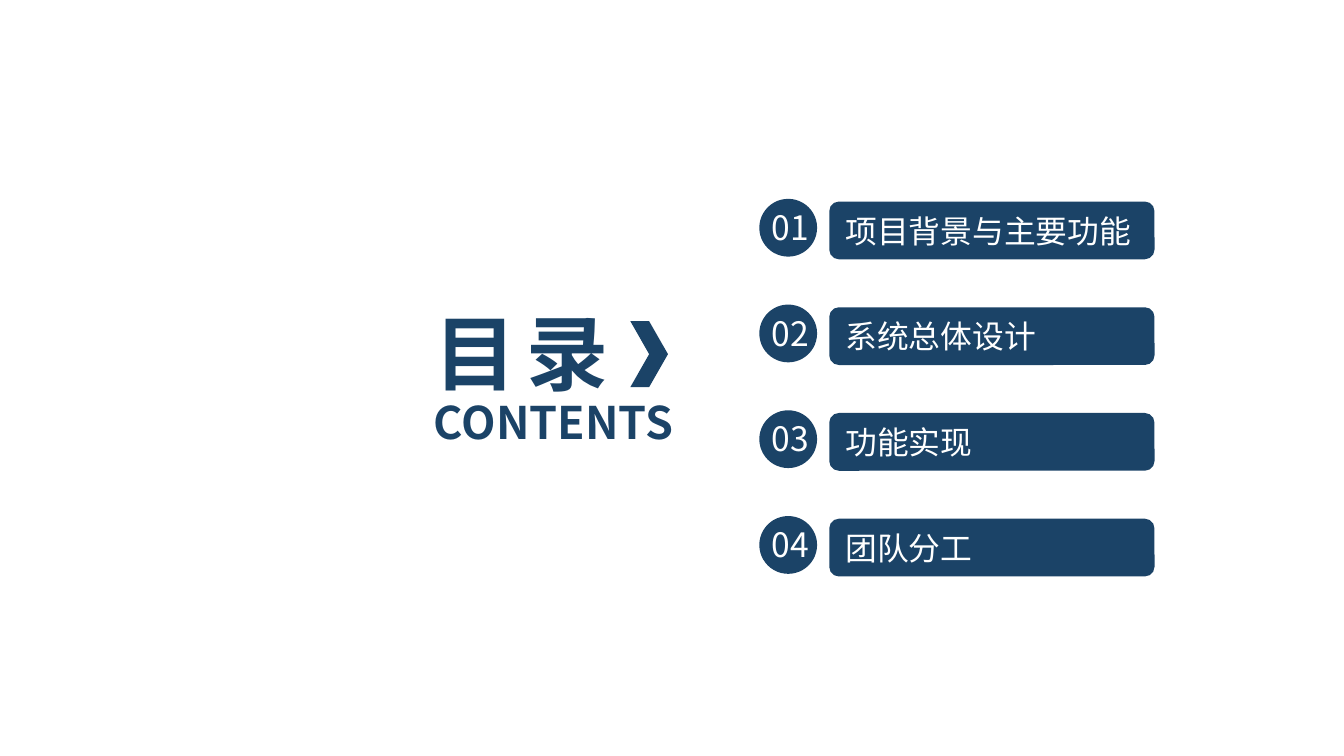
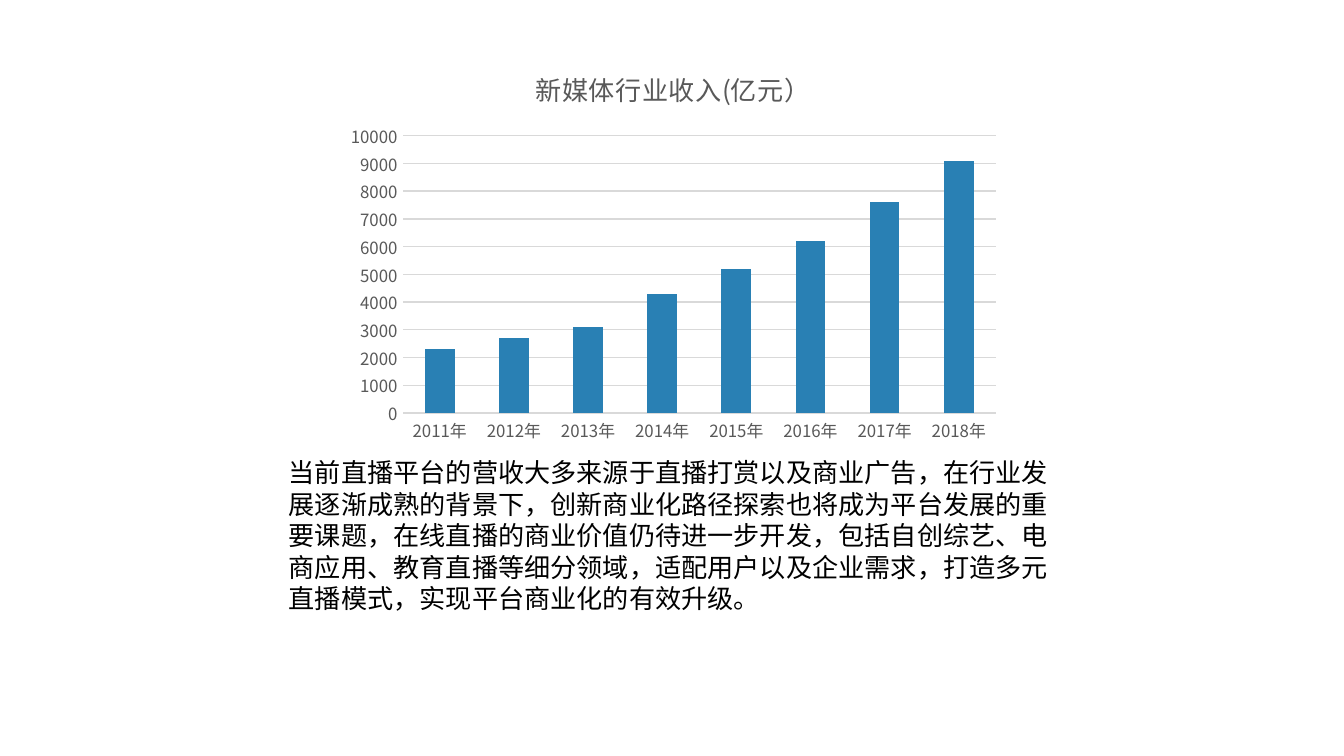
from dataclasses import dataclass

from lxml import etree
from pptx import Presentation
from pptx.chart import data as chart_data
from pptx.dml.color import RGBColor
from pptx.enum import chart as chart_enum, shapes, text
from pptx.oxml import ns
from pptx.util import Inches, Pt

TITLE_ONLY, BLANK = 5, 6


@dataclass(frozen=True)
class Theme:
    font: str = "Noto Sans CJK SC"
    navy: str = "1B4367"
    blue: str = "2980B4"
    white: str = "FFFFFF"
    black: str = "000000"
    gray: str = "595959"
    grid: str = "D9D9D9"
    title_size: int = 44
    subtitle_size: int = 24
    number_size: int = 18
    item_size: int = 17
    body_size: int = 14
    chart_size: int = 10
    axis_size: int = 9


THEME = Theme()

SECTIONS = ["项目背景与主要功能", "系统总体设计", "功能实现", "团队分工"]
INCOME = {
    "2011年": 2300, "2012年": 2700, "2013年": 3100, "2014年": 4300,
    "2015年": 5200, "2016年": 6200, "2017年": 7600, "2018年": 9100,
}
SUMMARY = (
    "当前直播平台的营收大多来源于直播打赏以及商业广告，在行业发展逐渐成熟的背景下，"
    "创新商业化路径探索也将成为平台发展的重要课题，在线直播的商业价值仍待进一步开发，"
    "包括自创综艺、电商应用、教育直播等细分领域，适配用户以及企业需求，"
    "打造多元直播模式，实现平台商业化的有效升级。"
)


def style_font(font, size, color, bold=False):
    font.name = THEME.font
    font.size = Pt(size)
    font.bold = bold
    font.color.rgb = RGBColor.from_string(color)


def write(shape, content, size, color, bold=False,
          align=text.PP_ALIGN.LEFT, anchor=text.MSO_ANCHOR.TOP):
    """Put one styled run in the shape and return it."""
    frame = shape.text_frame
    frame.word_wrap = True
    frame.auto_size = text.MSO_AUTO_SIZE.SHAPE_TO_FIT_TEXT
    frame.vertical_anchor = anchor
    paragraph = frame.paragraphs[0]
    paragraph.alignment = align
    run = paragraph.add_run()
    run.text = content
    style_font(run.font, size, color, bold)
    east_asian = etree.SubElement(run.font._element, ns.qn("a:ea"))
    east_asian.set("typeface", THEME.font)
    return run


def add_filled(parent, kind, left, top, width, height):
    shape = parent.add_shape(
        kind, Inches(left), Inches(top), Inches(width), Inches(height))
    shape.shadow.inherit = False
    shape.fill.solid()
    shape.fill.fore_color.rgb = RGBColor.from_string(THEME.navy)
    shape.line.fill.background()
    return shape


def add_text(parent, left, top, width, height, *content, **style):
    box = parent.add_textbox(
        Inches(left), Inches(top), Inches(width), Inches(height))
    return write(box, *content, **style)


def add_heading(slide, left, top):
    title = slide.shapes.title
    title.left, title.top = Inches(left), Inches(top)
    title.width, title.height = Inches(2.35), Inches(0.84)
    run = write(title, "目 录", THEME.title_size, THEME.navy, bold=True)
    run.font._element.set("spc", "-220")
    add_text(slide.shapes, left, top + 0.69, 2.31, 0.5,
             "CONTENTS", THEME.subtitle_size, THEME.navy, bold=True)
    add_filled(slide.shapes, shapes.MSO_SHAPE.CHEVRON,
               left + 1.56, top + 0.19, 0.28, 0.49)


def add_section(slide, left, top, number, name):
    """Add a numbered disc and the bar that names the section."""
    size = 0.43
    bar = add_filled(slide.shapes, shapes.MSO_SHAPE.ROUNDED_RECTANGLE,
                     left + 0.52, top + 0.02, 2.42, size)
    write(bar, name, THEME.item_size, THEME.white,
          anchor=text.MSO_ANCHOR.MIDDLE)
    badge = slide.shapes.add_group_shape().shapes
    add_filled(badge, shapes.MSO_SHAPE.OVAL, left, top, size, size)
    add_text(badge, left - 0.03, top + 0.01, 0.52, 0.4,
             f"{number:02}", THEME.number_size, THEME.white,
             align=text.PP_ALIGN.CENTER)


def build_contents(presentation):
    slide = presentation.slides.add_slide(
        presentation.slide_layouts[TITLE_ONLY])
    add_heading(slide, 3.13, 2.2)
    first, last = 1.48, 3.84
    pitch = (last - first) / (len(SECTIONS) - 1)
    for index, name in enumerate(SECTIONS):
        add_section(slide, 5.65, first + index * pitch, index + 1, name)


def style_axis(axis):
    axis.major_tick_mark = chart_enum.XL_TICK_MARK.NONE
    axis.minor_tick_mark = chart_enum.XL_TICK_MARK.NONE
    axis.format.line.fill.background()
    style_font(axis.tick_labels.font, THEME.axis_size, THEME.gray)


def add_income_chart(slide, left, top, width, height):
    data = chart_data.CategoryChartData()
    data.categories = list(INCOME)
    data.add_series("Series 1", list(INCOME.values()))
    chart = slide.shapes.add_chart(
        chart_enum.XL_CHART_TYPE.COLUMN_CLUSTERED, Inches(left), Inches(top),
        Inches(width), Inches(height), data).chart
    style_font(chart.font, THEME.chart_size, THEME.black)
    chart.has_legend = False

    chart.has_title = True
    run = chart.chart_title.text_frame.paragraphs[0].add_run()
    run.text = "新媒体行业收入(亿元）"
    style_font(run.font, THEME.body_size, THEME.gray)
    chart.chart_title.include_in_layout = False

    style_axis(chart.category_axis)
    value_axis = chart.value_axis
    style_axis(value_axis)
    value_axis.minimum_scale = 0
    value_axis.maximum_scale = 10000
    value_axis.major_unit = 1000
    grid = value_axis.major_gridlines.format.line
    grid.color.rgb = RGBColor.from_string(THEME.grid)
    grid.width = Pt(0.75)

    plot = chart.plots[0]
    plot.gap_width = 150
    plot.vary_by_categories = False
    fill = plot.series[0].format.fill
    fill.solid()
    fill.fore_color.rgb = RGBColor.from_string(THEME.blue)


def build_income(presentation):
    slide = presentation.slides.add_slide(presentation.slide_layouts[BLANK])
    add_text(slide.shapes, 2.05, 3.35, 5.91, 1.28,
             SUMMARY, THEME.body_size, THEME.black)
    add_income_chart(slide, 2.51, 0.35, 5, 3)


def main():
    presentation = Presentation()
    presentation.slide_width = Inches(10)
    presentation.slide_height = presentation.slide_width * 9 // 16
    build_contents(presentation)
    build_income(presentation)
    presentation.save("out.pptx")


if __name__ == "__main__":
    main()
